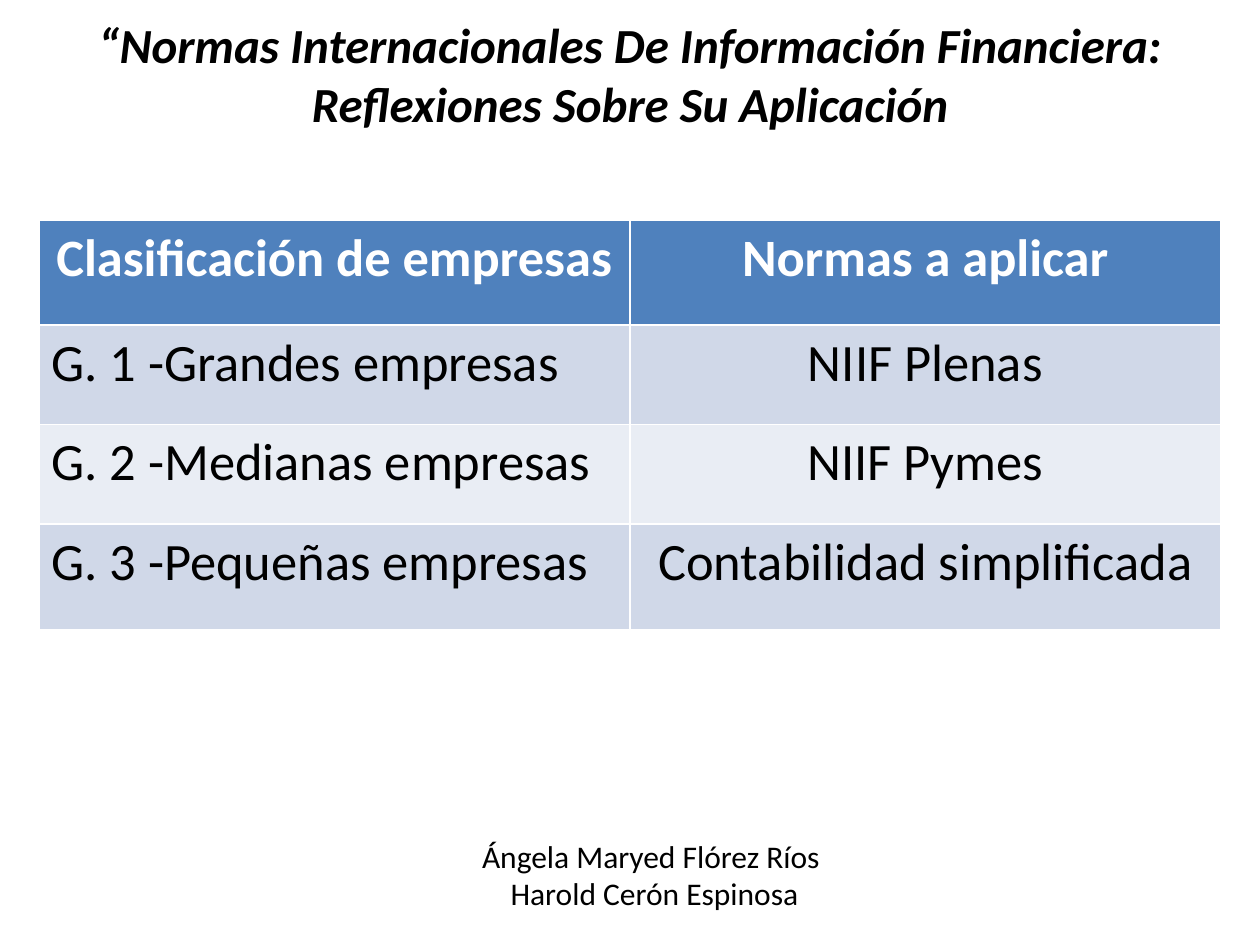
from pptx import Presentation, util as u
from pptx.dml.color import RGBColor
from pptx.enum import text

BLACK = RGBColor(0x00, 0x00, 0x00)
WHITE = RGBColor(0xFF, 0xFF, 0xFF)
HEADER = RGBColor(0x4F, 0x81, 0xBD)
BANDS = [RGBColor(0xE9, 0xED, 0xF4), RGBColor(0xD0, 0xD8, 0xE8)]
CENTER = text.PP_ALIGN.CENTER

ROWS = [
    ("Clasificación de empresas", "Normas a aplicar"),
    ("G. 1 -Grandes empresas", "NIIF Plenas"),
    ("G. 2 -Medianas empresas", "NIIF Pymes"),
    ("G. 3 -Pequeñas empresas", "Contabilidad simplificada"),
]
ROW_HEIGHTS = [0.83, 0.79, 0.79, 0.84]
AUTHORS = "Ángela Maryed Flórez Ríos \nHarold Cerón Espinosa"


def style(para, size, color, bold=False, italic=False, align=CENTER):
    para.alignment = align
    font = para.font
    font.name, font.size, font.color.rgb = "Calibri", u.Pt(size), color
    font.bold, font.italic = bold, italic


deck = Presentation()
deck.slide_width, deck.slide_height = u.Inches(10), u.Inches(7.5)
page = deck.slides.add_slide(deck.slide_layouts[5])

# Title, raised inside its frame by a deep bottom inset
title = page.shapes.title
title.left, title.top = u.Inches(0.5), u.Inches(0.3)
title.width, title.height = u.Inches(9), u.Inches(1.03)
frame = title.text_frame
frame.text = "“Normas Internacionales De Información Financiera: Reflexiones Sobre Su Aplicación"
frame.auto_size = text.MSO_AUTO_SIZE.NONE
frame.vertical_anchor = text.MSO_ANCHOR.MIDDLE
frame.margin_bottom = u.Inches(0.52)
style(frame.paragraphs[0], 28, BLACK, bold=True, italic=True)

# Company groups and the standards that apply to them
margin = u.Inches(0.31)
table = page.shapes.add_table(
    len(ROWS), 2, margin, u.Inches(1.75),
    deck.slide_width - 2 * margin, u.Inches(sum(ROW_HEIGHTS))).table
for r, (labels, height) in enumerate(zip(ROWS, ROW_HEIGHTS)):
    table.rows[r].height = u.Inches(height)
    is_header = r == 0
    for c, label in enumerate(labels):
        cell = table.cell(r, c)
        cell.text = label
        cell.fill.solid()
        cell.fill.fore_color.rgb = HEADER if is_header else BANDS[r % 2]
        style(cell.text_frame.paragraphs[0], 30, WHITE if is_header else BLACK,
              bold=is_header,
              align=CENTER if is_header or c == 1 else text.PP_ALIGN.LEFT)

# Authors
box = page.shapes.add_textbox(u.Inches(2.58), u.Inches(6.56), u.Inches(5.23), u.Inches(0.76))
frame = box.text_frame
frame.word_wrap = True
frame.vertical_anchor = text.MSO_ANCHOR.MIDDLE
frame.text = AUTHORS
for para in frame.paragraphs:
    style(para, 18, BLACK)

deck.save("out.pptx")
